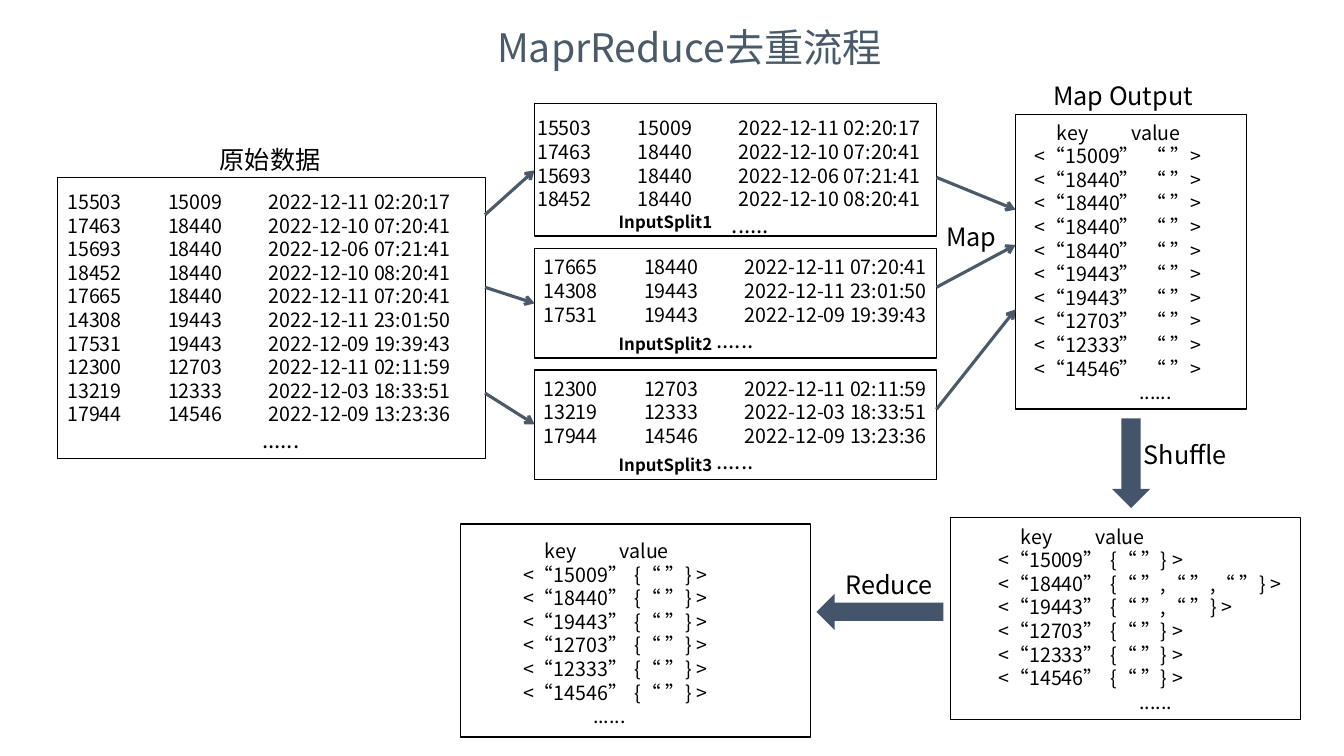
from lxml.etree import SubElement
from pptx import Presentation
from pptx.dml.color import RGBColor
from pptx.enum.shapes import MSO_CONNECTOR, MSO_SHAPE
from pptx.enum.text import PP_ALIGN
from pptx.oxml.ns import qn
from pptx.util import Pt

FONT = "Noto Sans CJK SC"
BLACK = RGBColor(0x00, 0x00, 0x00)
SLATE = RGBColor(0x4A, 0x5A, 0x69)
ARROW_BLUE = RGBColor(0x44, 0x54, 0x6A)
LINE_RATIO = 1.204
DOTS = "......"

RECORDS = [
    ("15503", "15009", "2022-12-11 02:20:17"),
    ("17463", "18440", "2022-12-10 07:20:41"),
    ("15693", "18440", "2022-12-06 07:21:41"),
    ("18452", "18440", "2022-12-10 08:20:41"),
    ("17665", "18440", "2022-12-11 07:20:41"),
    ("14308", "19443", "2022-12-11 23:01:50"),
    ("17531", "19443", "2022-12-09 19:39:43"),
    ("12300", "12703", "2022-12-11 02:11:59"),
    ("13219", "12333", "2022-12-03 18:33:51"),
    ("17944", "14546", "2022-12-09 13:23:36"),
]
SHUFFLED_COUNTS = {"15009": 1, "18440": 3, "19443": 2, "12703": 1, "12333": 1, "14546": 1}

presentation = Presentation()
presentation.slide_width = Pt(960)
presentation.slide_height = Pt(540)
slide = presentation.slides.add_slide(presentation.slide_layouts[6])


def add_text(left, top, width, rows, color=BLACK, bold=False, wrap=True):
    """Add a text box; each row holds its text, size, alignment and tab stops."""
    height = sum(size * LINE_RATIO for _, size, _, _ in rows) + 7.2
    shape = slide.shapes.add_textbox(Pt(left), Pt(top), Pt(width), Pt(height))
    frame = shape.text_frame
    frame.word_wrap = wrap
    for index, (text, size, alignment, stops) in enumerate(rows):
        paragraph = frame.paragraphs[0] if index == 0 else frame.add_paragraph()
        paragraph.alignment = alignment
        paragraph.line_spacing = Pt(round(size * LINE_RATIO, 2))
        if stops:
            tab_list = SubElement(paragraph._p.get_or_add_pPr(), qn("a:tabLst"))
            for stop in stops:
                SubElement(tab_list, qn("a:tab"), pos=str(Pt(stop)), algn="l")
        run = paragraph.add_run()
        run.text = text
        run.font.size = Pt(size)
        run.font.bold = bold
        run.font.name = FONT
        run.font.color.rgb = color
        SubElement(run._r.get_or_add_rPr(), qn("a:ea"), typeface=FONT)


def add_block(kind, left, top, width, height, fill=None):
    """Add a filled shape without outline, or an unfilled one with a black outline."""
    shape = slide.shapes.add_shape(kind, Pt(left), Pt(top), Pt(width), Pt(height))
    shape.shadow.inherit = False
    if fill:
        shape.fill.solid()
        shape.fill.fore_color.rgb = fill
        shape.line.fill.background()
    else:
        shape.fill.background()
        shape.line.color.rgb = BLACK
        shape.line.width = Pt(1)


# Frames: raw data, three splits, map output, shuffled, reduced
for frame_box in [
    (41, 126.9, 306, 200.8),
    (381.8, 74, 287, 94.5),
    (381.8, 177.4, 287, 78.3),
    (381.8, 264.3, 287, 78.3),
    (725.4, 81.6, 165, 210.6),
    (679, 369.8, 250, 144),
    (329, 374.4, 250, 152),
]:
    add_block(MSO_SHAPE.RECTANGLE, *frame_box)

# Raw data and its splits
for left, top, width, first, last in [
    (41, 132, 319, 0, 10),
    (376.6, 79.5, 319, 0, 4),
    (381, 178.8, 288, 4, 7),
    (381, 265.5, 288, 7, 10),
]:
    rows = [("\t".join(record), 14, PP_ALIGN.LEFT, (72, 144)) for record in RECORDS[first:last]]
    rows.append((DOTS, 16, PP_ALIGN.CENTER, ()))
    add_text(left, top, width, rows)

# Key and value lists
map_pairs = [f"<“{key}”\t“ ”>" for _, key, _ in RECORDS]
shuffled_pairs = [
    f"<“{key}”\t{{{','.join(['“ ”'] * count)}}} >" for key, count in SHUFFLED_COUNTS.items()
]
reduced_pairs = [f"<“{key}”\t{{“ ”}} >" for key in SHUFFLED_COUNTS]
centered_dots = (DOTS, 14, PP_ALIGN.CENTER, ())
indented_dots = ("\t" + DOTS, 14, PP_ALIGN.LEFT, (50,))
for left, top, width, pairs, dots in [
    (732.2, 82.5, 186.5, map_pairs, centered_dots),
    (706.3, 371, 238.3, shuffled_pairs, centered_dots),
    (366.5, 381.3, 238.3, reduced_pairs, indented_dots),
]:
    rows = [("\tkey\tvalue", 14, PP_ALIGN.LEFT, (15.7, 69))]
    rows += [(pair, 14, PP_ALIGN.LEFT, (80,)) for pair in pairs]
    add_text(left, top, width, rows + [dots])

# Title and labels
add_text(344.2, 13, 296.6, [("MaprReduce去重流程", 28, PP_ALIGN.CENTER, ())], SLATE, wrap=False)
for text, left, top, width in [
    ("原始数据", 149.8, 99.2, 86.4),
    ("Map Output", 745.2, 53.8, 120.2),
    ("Map", 668.9, 154.6, 53.3),
    ("Shuffle", 810, 310.2, 74.2),
    ("Reduce", 596.9, 403, 77.8),
]:
    add_text(left, top, width, [(text, 18, PP_ALIGN.LEFT, ())], wrap=False)
for number in range(3):
    label = [(f"InputSplit{number + 1}", 12, PP_ALIGN.LEFT, ())]
    add_text(434.9, 147.8 + number * 86.7, 81.4, label, bold=True, wrap=False)

# Thin arrows into the splits and into the map output
for start_x, start_y, end_x, end_y in [
    (346.5, 153.4, 381.8, 121.7),
    (346.5, 205.2, 381.8, 216.7),
    (346.5, 280.8, 381.8, 303.1),
    (668.9, 126.7, 725.4, 149.8),
    (668.9, 205.2, 725.4, 175),
    (668.9, 292.3, 725.4, 221),
]:
    connector = slide.shapes.add_connector(
        MSO_CONNECTOR.STRAIGHT, Pt(start_x), Pt(start_y), Pt(end_x), Pt(end_y)
    )
    connector.line.color.rgb = SLATE
    connector.line.width = Pt(2.25)
    SubElement(connector.line._get_or_add_ln(), qn("a:tailEnd"), type="arrow")
    SubElement(connector._element.spPr, qn("a:effectLst"))

# Block arrows for shuffle and reduce
add_block(MSO_SHAPE.DOWN_ARROW, 794.2, 298.8, 27.4, 64.1, ARROW_BLUE)
add_block(MSO_SHAPE.LEFT_ARROW, 583.2, 424.1, 90.7, 25.9, ARROW_BLUE)

presentation.save("out.pptx")
